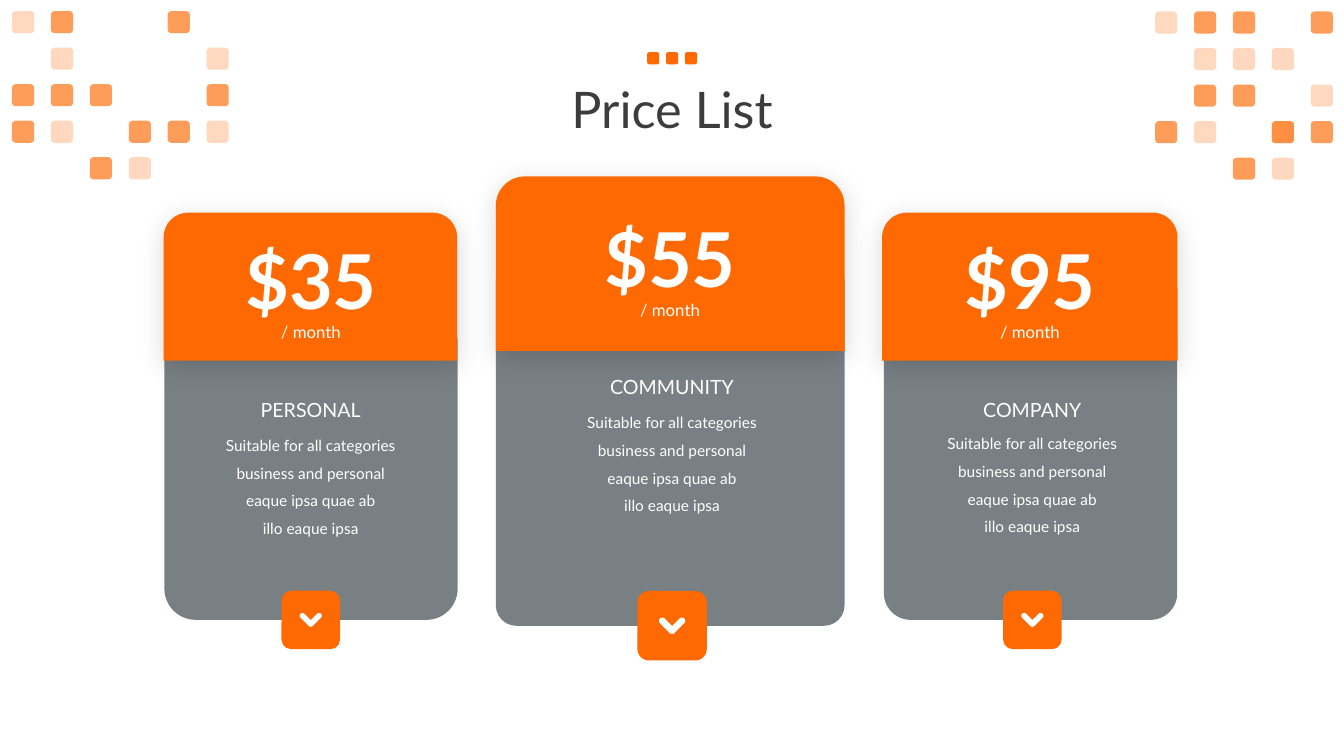
"""Build the Price List slide with three pricing cards."""
from math import cos, radians, sin, sqrt

from lxml.etree import SubElement
from pptx import Presentation
from pptx.dml.color import RGBColor
from pptx.enum.shapes import MSO_SHAPE as Shape
from pptx.enum.text import MSO_ANCHOR as Anchor, MSO_AUTO_SIZE as AutoSize, PP_ALIGN as Align
from pptx.oxml.ns import qn
from pptx.util import Pt

TITLE = "Price List"
PERIOD = "/ month"
DETAILS = [
    "Suitable for all categories business and personal",
    "eaque ipsa quae ab",
    "illo eaque ipsa",
]
CARDS = [
    dict(name="PERSONAL", price="$35", body=(117.4, 221.8, 209.5, 221), radius=0.107,
         head=(116.9, 151.9, 209.7, 105.8), price_mid=222.1, mid=222,
         price_top=163.4, details_top=301.2, button=41.8),
    dict(name="COMMUNITY", price="$55", body=(354.2, 185.8, 249.1, 261.2), radius=0.059,
         head=(354.2, 126, 249.1, 124.7), price_mid=478.6, mid=480.1,
         price_top=147.6, details_top=285, button=49.6),
    dict(name="COMPANY", price="$95", body=(631.4, 221.8, 209.5, 221), radius=0.091,
         head=(630.1, 151.9, 211, 105.8), price_mid=735.7, mid=737.4,
         price_top=163.4, details_top=300, button=41.8),
]
MOSAICS = [
    ((8.6, 7.9), ["LD..D.", ".L...L", "DDD..D", "DL.DDL", "..DL.."]),
    ((825.1, 8.2), ["LDD.D", ".LLL.", ".DD.L", "DL.BD", "..DL."]),
]
OPACITIES = {"L": [25], "D": [65], "B": [65, 25], ".": []}
TILE, COL_STEP, ROW_STEP = 15.8, 27.8, 26.1
DOT_LEFT, DOT_TOP, DOT, DOT_STEP = 462.3, 37.3, 8.6, 13.5
ORANGE, SLATE, WHITE, INK = "FE6902", "313C41", "FFFFFF", "3C3C3C"


def rgb(value):
    return RGBColor.from_string(value)


def points(*lengths):
    return [Pt(v) for v in lengths]


def paint(sp, color, opacity=100):
    sp.shadow.inherit = False
    sp.fill.solid()
    sp.fill.fore_color.rgb = rgb(color)
    sp.line.fill.background()
    if opacity < 100:
        tint = sp._element.spPr.find(f"{qn('a:solidFill')}/{qn('a:srgbClr')}")
        SubElement(tint, qn("a:alpha"), val=str(opacity * 1000))
    return sp


def add_block(shapes, box, color, kind=Shape.ROUNDED_RECTANGLE, opacity=100):
    return paint(shapes.add_shape(kind, *points(*box)), color, opacity)


def add_soft_shadow(sp):
    effects = sp._element.spPr.find(qn("a:effectLst"))
    shadow = SubElement(effects, qn("a:outerShdw"), blurRad=str(Pt(19)), dist=str(Pt(4)),
                        dir="5400000", algn="t", rotWithShape="0")
    tint = SubElement(shadow, qn("a:srgbClr"), val="000000")
    SubElement(tint, qn("a:alpha"), val="15000")


def write(tf, lines, size, color=WHITE, bold=False, spacing=1.0):
    for i, line in enumerate(lines):
        p = tf.paragraphs[0] if i == 0 else tf.add_paragraph()
        p.alignment, p.line_spacing = Align.CENTER, spacing
        r = p.add_run()
        r.text = line
        formats = dict(name="Lato", size=Pt(size), bold=bold)
        for key, value in formats.items():
            setattr(r.font, key, value)
        r.font.color.rgb = rgb(color)


def add_label(shapes, mid, top, width, height, lines, size, **formats):
    tf = shapes.add_textbox(*points(mid - width / 2, top, width, height)).text_frame
    tf.word_wrap = True
    tf.auto_size = AutoSize.SHAPE_TO_FIT_TEXT
    write(tf, lines, size, **formats)


def arc(x, y, radius, start, end):
    return [(x + radius * cos(radians(a)), y + radius * sin(radians(a)))
            for a in range(start, end + 1, 15)]


def add_chevron(shapes, mid, middle, size):
    arm, radius = 0.141 * size, 0.048 * size
    top, tip = middle - arm / 2, middle + arm / 2
    outline = (arc(mid - arm, top, radius, 135, 315)
               + [(mid, tip - radius * sqrt(2))]
               + arc(mid + arm, top, radius, 225, 405)
               + arc(mid, tip, radius, 45, 135))
    corners = [points(*corner) for corner in outline]
    pen = shapes.build_freeform(*corners[0])
    pen.add_line_segments(corners[1:], close=True)
    paint(pen.convert_to_shape(), WHITE)


def add_card(shapes, card):
    left, top, width, height = card["body"]
    body = add_block(shapes, card["body"], SLATE, opacity=65)
    body.adjustments[0] = card["radius"]
    add_soft_shadow(add_block(shapes, card["head"], ORANGE, Shape.ROUND_2_SAME_RECTANGLE))

    mid, price_mid, price_top = card["mid"], card["price_mid"], card["price_top"]
    add_label(shapes, price_mid, price_top, 120, 72.7, [card["price"]], 54, bold=True)
    add_label(shapes, price_mid, price_top + 56, 80, 26, [PERIOD], 12, spacing=1.5)
    add_label(shapes, mid, price_top + 117, 138, 24.5, [card["name"]], 14)
    add_label(shapes, mid, card["details_top"], 152, 85, DETAILS, 11, spacing=1.5)

    size, bottom = card["button"], top + height
    add_block(shapes, (mid - size / 2, bottom - size / 2, size, size), ORANGE)
    add_chevron(shapes, mid, bottom, size)


def add_mosaic(shapes, origin, rows):
    group = shapes.add_group_shape().shapes
    for i, row in enumerate(rows):
        for j, mark in enumerate(row):
            box = (origin[0] + j * COL_STEP, origin[1] + i * ROW_STEP, TILE, TILE)
            for opacity in OPACITIES[mark]:
                add_block(group, box, ORANGE, opacity=opacity)


def main():
    prs = Presentation()
    prs.slide_width, prs.slide_height = points(960, 540)
    s = prs.slides.add_slide(prs.slide_layouts[5])
    title = s.shapes.title
    title.left, title.top, title.width, title.height = points(66, 28, 828, 104.4)
    title.text_frame.vertical_anchor = Anchor.MIDDLE
    write(title.text_frame, [TITLE], 36, color=INK, spacing=0.9)

    for card in CARDS:
        add_card(s.shapes, card)
    for origin, rows in MOSAICS:
        add_mosaic(s.shapes, origin, rows)
    dots = s.shapes.add_group_shape().shapes
    for i in range(3):
        add_block(dots, (DOT_LEFT + i * DOT_STEP, DOT_TOP, DOT, DOT), ORANGE)
    prs.save("out.pptx")


if __name__ == "__main__":
    main()
